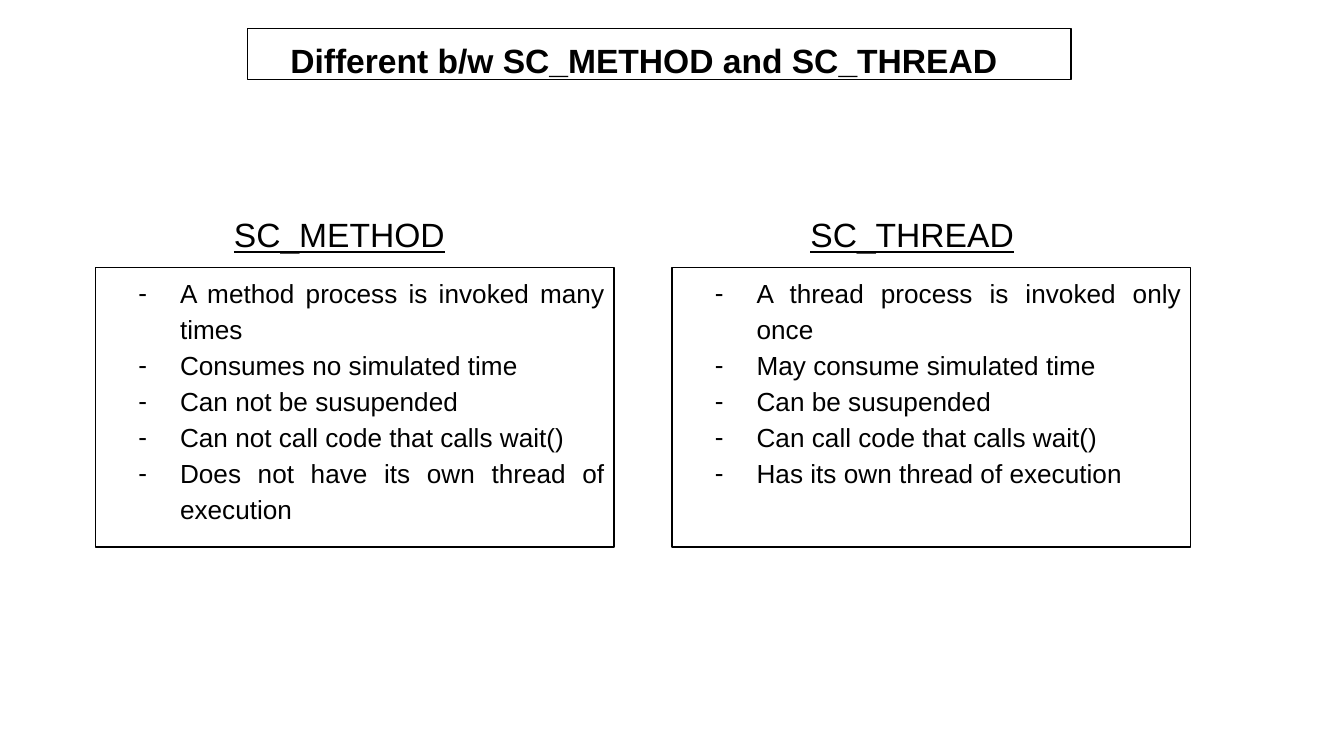
import pptx
import pptx.util
import pptx.dml.color
import pptx.enum.shapes
import pptx.enum.text
import pptx.oxml.ns
import lxml.etree
from pptx.util import Inches

BLACK = "000000"
FONT = "Arial"


def color(hex_string):
    return pptx.dml.color.RGBColor.from_string(hex_string)


def add_box(left, top, width, height, lines, size, bold=None, underline=None,
            framed=False, bulleted=False):
    """Add a box of justified, hanging-indent lines."""
    place = [Inches(v) for v in (left, top, width, height)]
    if framed:
        box = slide.shapes.add_shape(
            pptx.enum.shapes.MSO_SHAPE.RECTANGLE, *place)
        box.shadow.inherit = False
        box.fill.background()
        box.line.color.rgb = color(BLACK)
        box.line.width = pptx.util.Pt(0.75)
    else:
        box = slide.shapes.add_textbox(*place)

    frame = box.text_frame
    frame.word_wrap = True
    frame.vertical_anchor = pptx.enum.text.MSO_ANCHOR.TOP
    frame.margin_left = frame.margin_right = Inches(0.07)
    frame.margin_top = frame.margin_bottom = Inches(0.04)

    indent, hanging = (0.56, 0.31) if bulleted else (0.5, 0.25)
    for number, line in enumerate(lines):
        paragraph = frame.add_paragraph() if number else frame.paragraphs[0]
        paragraph.alignment = pptx.enum.text.PP_ALIGN.JUSTIFY
        paragraph.line_spacing = 1.15
        properties = paragraph._p.get_or_add_pPr()
        properties.set("marL", str(Inches(indent)))
        properties.set("indent", str(-Inches(hanging)))
        if bulleted:
            bullet_color = lxml.etree.SubElement(
                properties, pptx.oxml.ns.qn("a:buClr"))
            lxml.etree.SubElement(
                bullet_color, pptx.oxml.ns.qn("a:srgbClr"), val=BLACK)
            for tag, key, value in (("a:buSzPts", "val", str(size * 100)),
                                    ("a:buFont", "typeface", FONT),
                                    ("a:buChar", "char", "-")):
                lxml.etree.SubElement(
                    properties, pptx.oxml.ns.qn(tag)).set(key, value)
        run = paragraph.add_run()
        run.text = line
        run.font.name = FONT
        run.font.size = pptx.util.Pt(size)
        run.font.bold = bold
        run.font.underline = underline
        run.font.color.rgb = color(BLACK)


# A 16:9 slide
presentation = pptx.Presentation()
presentation.slide_width = Inches(10)
presentation.slide_height = Inches(10 * 9 / 16)
slide = presentation.slides.add_slide(presentation.slide_layouts[6])

# Title
add_box(1.84, 0.21, 6.13, 0.38, ["Different b/w SC_METHOD and SC_THREAD"],
        18, bold=True, framed=True)

# One column per process type: heading above a framed list
columns = [
    ("SC_METHOD", [
        "A method process is invoked many times",
        "Consumes no simulated time",
        "Can not be susupended",
        "Can not call code that calls wait()",
        "Does not have its own thread of execution",
    ]),
    ("SC_THREAD", [
        "A thread process is invoked only once",
        "May consume simulated time",
        "Can be susupended",
        "Can call code that calls wait()",
        "Has its own thread of execution",
    ]),
]
for column, (heading, traits) in enumerate(columns):
    left = 0.71 + column * 4.29
    add_box(left + 0.71, 1.51, 2.28, 0.38, [heading], 18, underline=True)
    add_box(left, 1.99, 3.86, 2.08, traits, 14, framed=True, bulleted=True)

presentation.save("out.pptx")
